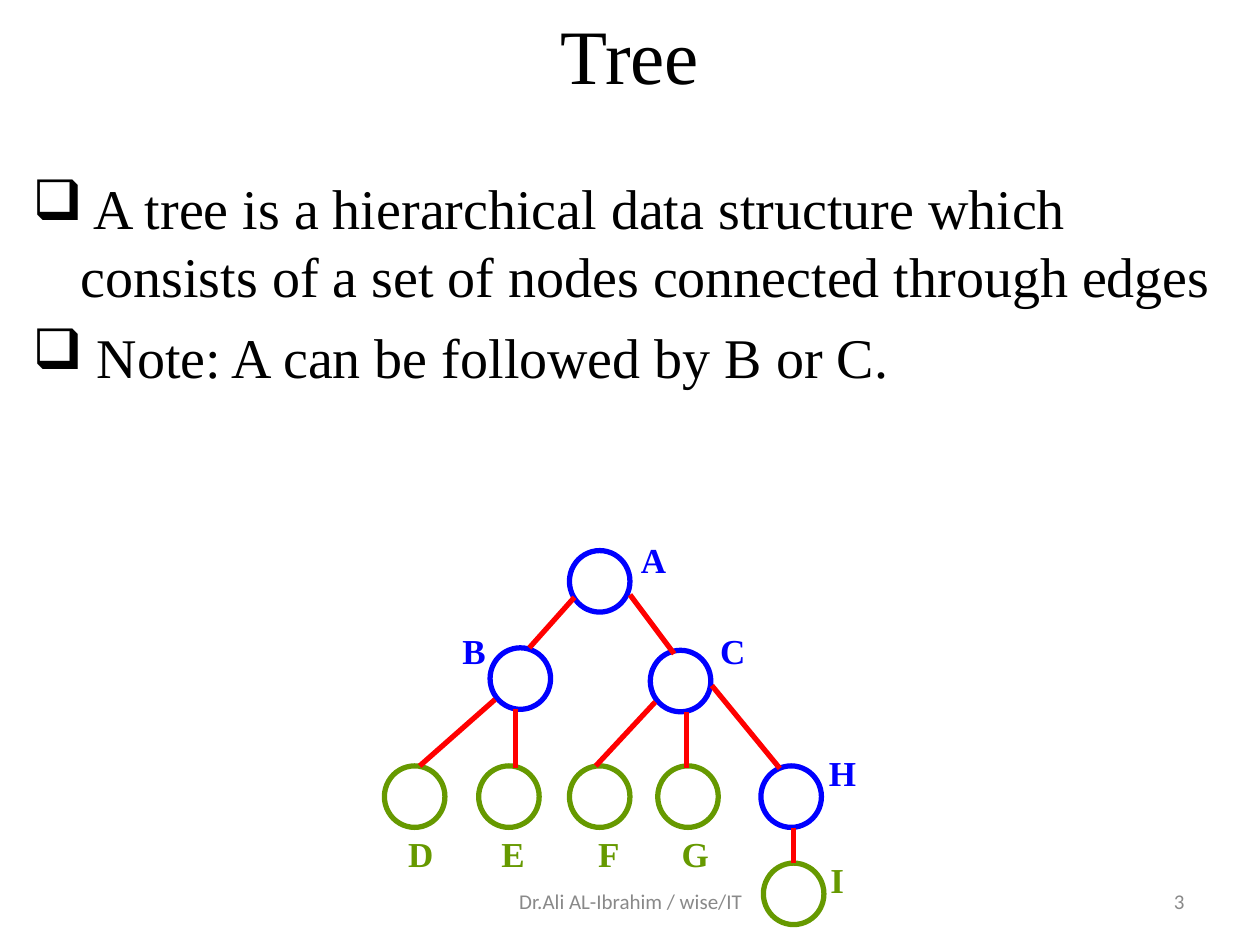
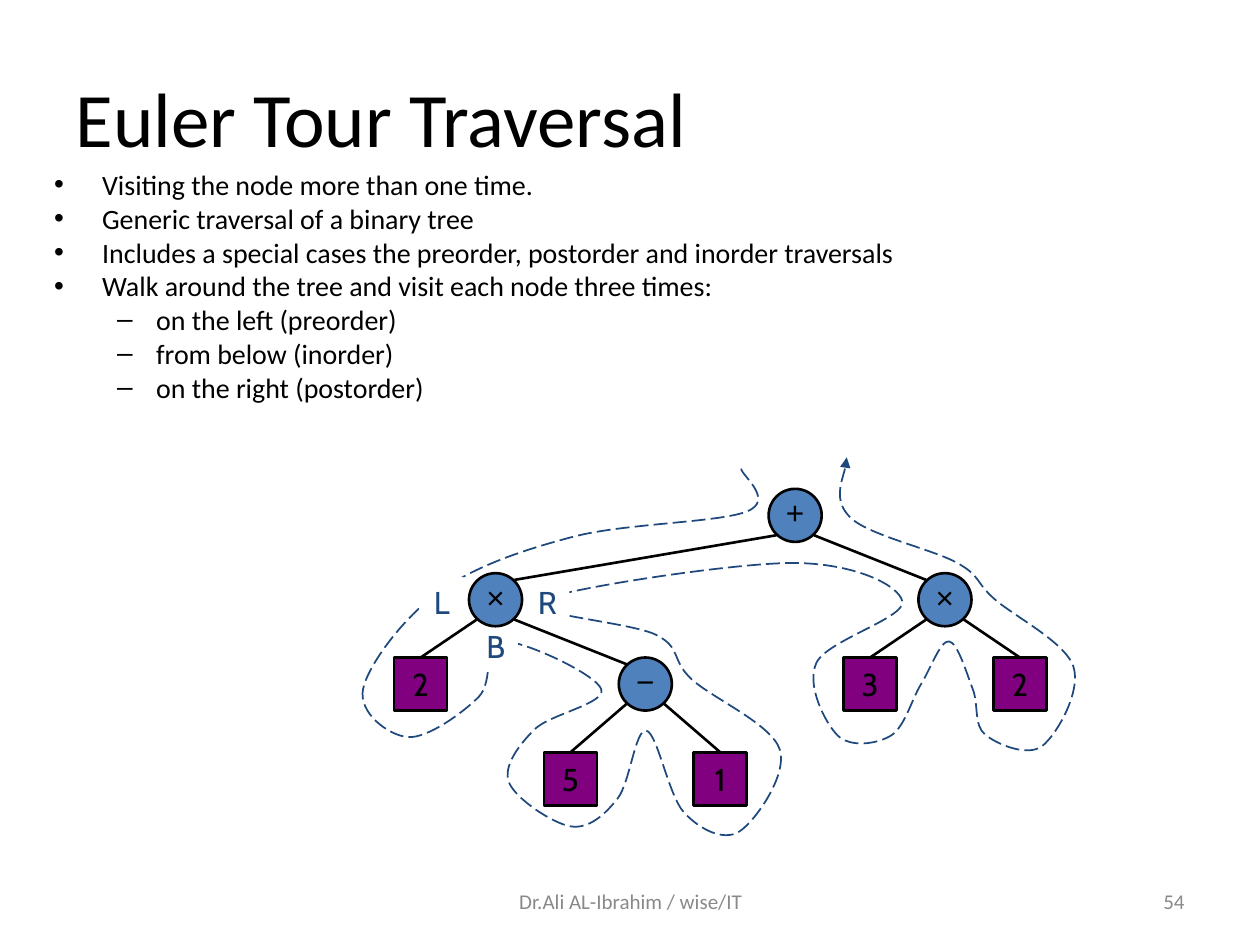
from lxml import etree
from pptx import Presentation
from pptx import util as u
from pptx.dml.color import RGBColor
from pptx.enum import dml, shapes, text
from pptx.oxml.ns import qn

Cm, Pt = u.Cm, u.Pt
HUES = {"ink": "000000", "paper": "FFFFFF", "grey": "898989", "blue": "0000FF",
        "green": "669900", "red": "FF0000", "steel": "4F81BD",
        "plum": "800080", "navy": "1F497D"}
SERIF, SANS, SIGN, MARK = "Times New Roman", "Calibri", "Arial", "Cabin"
LEFT, MID, RIGHT = (text.PP_ALIGN.LEFT, text.PP_ALIGN.CENTER, text.PP_ALIGN.RIGHT)
OVAL, RECT = shapes.MSO_SHAPE.OVAL, shapes.MSO_SHAPE.RECTANGLE
FOOTER = "Dr.Ali AL-Ibrahim / wise/IT"


def hue(name):
    return RGBColor.from_string(HUES[name])


class Deck:
    """Holds the style and the slide being drawn."""

    def __init__(self):
        self.prs = Presentation()
        self.prs.slide_width, self.prs.slide_height = Cm(25.4), Cm(19.05)
        self.slide = None

    def page(self, title, box, font, align, number):
        self.slide = self.prs.slides.add_slide(self.prs.slide_layouts[5])
        head = self.slide.shapes.title
        head.left, head.top, head.width, head.height = map(Cm, box)
        self.letter(head, title, font, 44, "ink", align)
        self.label(number, (18.21, 17.65, 5.92, 1.02), SANS, 12, "grey", RIGHT, True)
        self.label(FOOTER, (8.69, 17.65, 8.05, 1.02), SANS, 12, "grey", MID, True)

    def letter(self, shape, words, font, size, color, align=LEFT, bold=False):
        frame = shape.text_frame
        frame.text = words
        frame.vertical_anchor = text.MSO_ANCHOR.MIDDLE
        for para in frame.paragraphs:
            para.alignment = align
            for run in para.runs:
                face = run.font
                face.name, face.size, face.bold = font, Pt(size), bold
                face.color.rgb = hue(color)

    def label(self, words, box, font, size, color, align=LEFT, wrap=False,
              bold=False, fill=None):
        shape = self.slide.shapes.add_textbox(*map(Cm, box))
        shape.text_frame.word_wrap = wrap
        self.letter(shape, words, font, size, color, align, bold)
        if fill:
            shape.fill.solid()
            shape.fill.fore_color.rgb = hue(fill)
        return shape

    def bullets(self, items, box, font, size, before, lead=1.0):
        """items: (level, text); level sets the mark and the indent."""
        shape = self.label("\n".join(words for _, words in items), box,
                           font, size, "ink", wrap=True)
        shape.text_frame.vertical_anchor = text.MSO_ANCHOR.TOP
        for para, (level, _) in zip(shape.text_frame.paragraphs, items):
            mark, margin, hang = {"box": ("❑", 0.97, 0.97), "dot": ("•", 0.97, 0.97),
                                  "dash": ("–", 2.06, 0.79)}[level]
            para.level = int(level == "dash")
            para.space_before, para.line_spacing = Pt(before), lead
            props = para._p.get_or_add_pPr()
            props.set("marL", str(Cm(margin)))
            props.set("indent", str(-Cm(hang)))
            tint = etree.SubElement(props, qn("a:buClr"))
            etree.SubElement(tint, qn("a:srgbClr"), val=HUES["ink"])
            if level != "box":
                etree.SubElement(props, qn("a:buFont"), typeface=SIGN)
            etree.SubElement(props, qn("a:buChar"), char=mark)

    def node(self, kind, box, line, width, fill=None):
        shape = self.slide.shapes.add_shape(kind, *map(Cm, box))
        self.paint(shape, line, width, fill)
        return shape

    def paint(self, shape, line, width, fill=None):
        shape.shadow.inherit = False
        if fill:
            shape.fill.solid()
            shape.fill.fore_color.rgb = hue(fill)
        else:
            shape.fill.background()
        shape.line.color.rgb = hue(line)
        shape.line.width = Pt(width)

    def edge(self, start, end, color, width, leaf=None):
        line = self.slide.shapes.add_connector(
            shapes.MSO_CONNECTOR.STRAIGHT, *map(Cm, start + end))
        if leaf is not None:
            line.end_connect(leaf, 0)
        line.line.color.rgb = hue(color)
        line.line.width = Pt(width)
        etree.SubElement(line.element.spPr, qn("a:effectLst"))

    def curve(self, knots, color):
        """Smooth dashed arrow through the knots (Catmull-Rom handles)."""
        ends = [knots[0]] + knots + [knots[-1]]
        points = []
        for (ax, ay), (bx, by), (cx, cy), (dx, dy) in zip(ends, ends[1:], ends[2:], ends[3:]):
            points += [(bx + (cx - ax) / 6, by + (cy - ay) / 6),
                       (cx - (dx - bx) / 6, cy - (dy - by) / 6), (cx, cy)]
        outline = self.slide.shapes.build_freeform(*map(Cm, knots[0]))
        outline.add_line_segments([(Cm(x), Cm(y)) for x, y in points], close=False)
        shape = outline.convert_to_shape()
        self.paint(shape, color, 1)
        shape.line.dash_style = dml.MSO_LINE.LONG_DASH
        etree.SubElement(shape.element.spPr.find(qn("a:ln")), qn("a:tailEnd"), type="triangle")
        # Every three straight steps become one cubic step
        steps = list(shape.element.iter(qn("a:lnTo")))
        for one, two, three in zip(steps[::3], steps[1::3], steps[2::3]):
            cubic = etree.Element(qn("a:cubicBezTo"))
            one.addprevious(cubic)
            for step in (one, two, three):
                cubic.append(step[0])
                step.getparent().remove(step)


def tree(deck):
    deck.page("Tree", (1.27, 0, 22.86, 2.18), SERIF, MID, "3")
    deck.bullets([
        ("box", " A tree is a hierarchical data structure which consists of a set of "
                "nodes connected through edges"),
        ("box", " Note: A can be followed by B or C."),
    ], (0.41, 3.38, 24.41, 6.15), SERIF, 32, 8)

    # Name: node left and top, label left and top, colour
    nodes = {"A": (11.48, 11.1, 12.67, 10.72, "blue"),
             "B": (9.88, 13.06, 9.07, 12.55, "blue"),
             "C": (13.11, 13.11, 14.27, 12.55, "blue"),
             "D": (7.75, 15.44, 7.98, 16.64, "green"),
             "E": (9.65, 15.44, 9.86, 16.64, "green"),
             "F": (11.48, 15.44, 11.81, 16.64, "green"),
             "G": (13.26, 15.44, 13.49, 16.64, "green"),
             "H": (15.34, 15.44, 16.46, 15.01, "blue"),
             "I": (15.39, 17.4, 16.49, 17.17, "green")}
    for name, (x, y, tx, ty, color) in nodes.items():
        deck.node(OVAL, (x, y, 1.22, 1.24), color, 3)
        deck.label(name, (tx, ty, 1, 1.12), SERIF, 20, color, bold=True)

    # Edges, level by level
    for start, end in [((11.58, 12.04), (10.67, 13.06)), ((12.7, 11.99), (13.59, 13.18)),
                       ((9.98, 14.1), (8.46, 15.44)), ((10.39, 14.3), (10.39, 15.49)),
                       ((13.21, 14.15), (12.01, 15.44)), ((13.84, 14.35), (13.84, 15.49)),
                       ((14.35, 13.82), (15.72, 15.49)), ((16, 16.69), (16, 17.4))]:
        deck.edge(start, end, "red", 3)


def euler(deck):
    deck.page("Euler Tour Traversal", (1.27, 0.76, 22.86, 3.18), SANS, LEFT, "54")
    deck.bullets([
        ("dot", "Visiting the node more than one time."),
        ("dot", "Generic traversal of a binary tree"),
        ("dot", "Includes a special cases the preorder, postorder and inorder traversals"),
        ("dot", "Walk around the tree and visit each node three times:"),
        ("dash", "on the left (preorder)"),
        ("dash", "from below (inorder)"),
        ("dash", "on the right (postorder)"),
    ], (0.84, 3.38, 23.29, 5.08), SANS, 16, 4, 0.8)

    # Tour around the tree, broken by the three visit marks
    deck.curve([
        (14.94, 9.45), (15.06, 10.31), (11.56, 10.82), (8.84, 11.94), (7.32, 13.89),
        (8.23, 14.86), (9.65, 14.05), (10.13, 12.93), (12.12, 13.89), (10.77, 14.71),
        (10.26, 15.77), (11.51, 16.66), (12.45, 16.1), (13.03, 14.73), (13.79, 16.38),
        (14.91, 16.76), (15.72, 15.11), (13.94, 13.69), (13.23, 12.8), (10.85, 12.12),
        (15.98, 11.35), (18.19, 12.12), (16.46, 13.36), (16.89, 14.83), (17.96, 14.83),
        (18.57, 13.79), (19.13, 12.93), (19.61, 13.89), (19.86, 14.81), (21.01, 15.04),
        (21.64, 13.44), (20.04, 12.07), (19.3, 11.35), (17.15, 10.44), (17.07, 9.22),
    ], "navy")
    for name, x, y in [("L", 8.46, 11.63), ("B", 9.55, 12.52), ("R", 10.59, 11.63)]:
        deck.label(name, (x, y, 0.89, 1.02), MARK, 18, "navy", MID, fill="paper")

    # Nodes in inorder, one column each: sign, level, parent column
    nodes = [("2", 2, 1), ("×", 1, 5), ("5", 3, 3), ("−", 2, 1), ("1", 3, 3),
             ("+", 0, None), ("3", 2, 7), ("×", 1, 5), ("2", 2, 7)]
    rows, size = (10.39, 12.09, 13.79, 15.7), 1.07
    spots = [(8.48 + 1.51 * col, rows[level]) for col, (_, level, _) in enumerate(nodes)]
    drawn = []
    for (sign, _, _), (x, y) in zip(nodes, spots):
        leaf = sign.isdigit()
        shape = deck.node(RECT if leaf else OVAL, (x - size / 2, y - size / 2, size, size),
                          "ink", 1.5, "plum" if leaf else "steel")
        deck.letter(shape, sign, MARK if leaf else SIGN, 18, "ink", MID)
        frame = shape.text_frame
        frame.word_wrap = False
        if not leaf:
            frame.margin_left = frame.margin_right = frame.margin_top = 0
        drawn.append(shape)

    # Edges leave a parent low on the side of the child
    for col, (sign, _, parent) in enumerate(nodes):
        if parent is None:
            continue
        side = 0.38 if col > parent else -0.38
        (px, py), (x, y) = spots[parent], spots[col]
        deck.edge((px + side, py + 0.4), (x - side, y - 0.4), "ink", 1.5,
                  drawn[col] if sign.isdigit() else None)


def main():
    deck = Deck()
    tree(deck)
    euler(deck)
    deck.prs.save("out.pptx")


if __name__ == "__main__":
    main()
